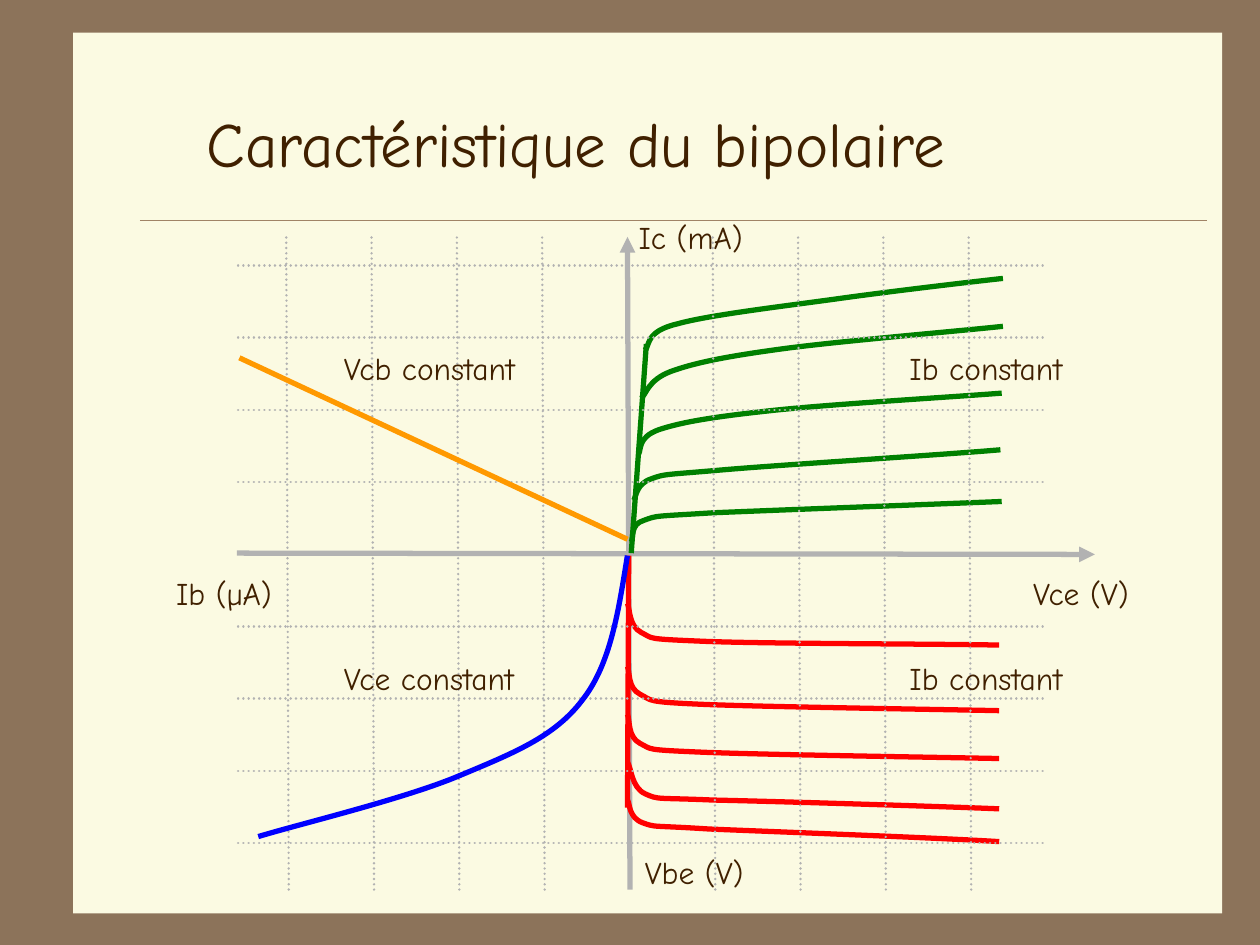
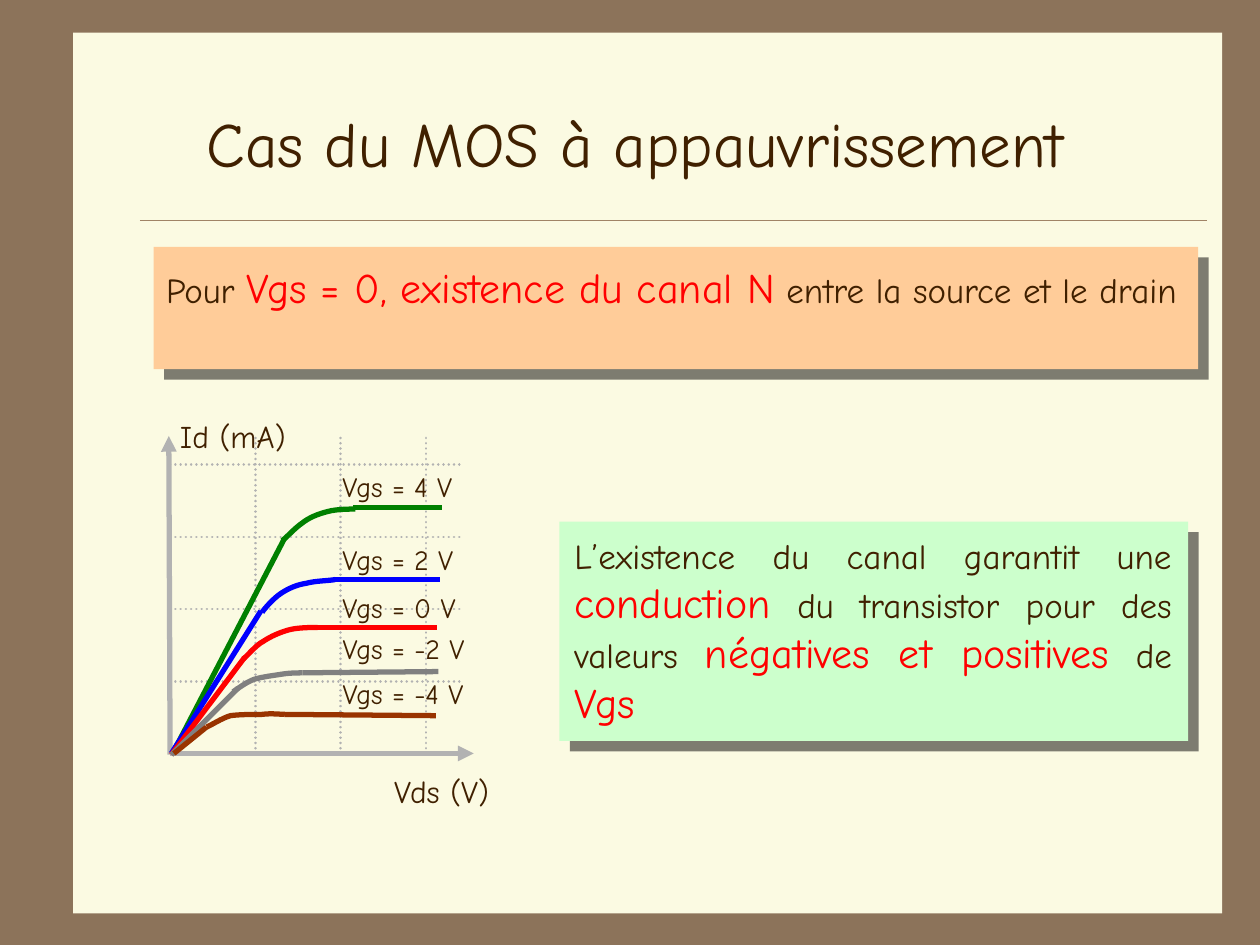
import pptx
import pptx.util
from pptx.dml.color import RGBColor
from pptx.enum.dml import MSO_LINE
from pptx.enum.shapes import MSO_CONNECTOR, MSO_SHAPE
from pptx.enum.text import MSO_AUTO_SIZE, PP_ALIGN
from pptx.oxml import parse_xml
from pptx.oxml.ns import nsdecls, qn

# Shared style
FONT = "Comic Neue"
FRAME = RGBColor(0x8C, 0x73, 0x5A)
PAPER = RGBColor(0xFB, 0xFA, 0xE2)
RULE = RGBColor(0xA0, 0x83, 0x66)
INK = RGBColor(0x40, 0x20, 0x00)
AXIS = RGBColor(0xB2, 0xB2, 0xB2)
GREEN = RGBColor(0x00, 0x80, 0x00)
RED = RGBColor(0xFF, 0x00, 0x00)
BLUE = RGBColor(0x00, 0x00, 0xFF)
ORANGE = RGBColor(0xFF, 0x99, 0x00)
GREY = RGBColor(0x80, 0x80, 0x80)
BROWN = RGBColor(0x99, 0x33, 0x00)
PEACH = RGBColor(0xFF, 0xCC, 0x99)
MINT = RGBColor(0xCC, 0xFF, 0xCC)

# Grid pitch of both graphs, in inches
COL, ROW = 0.677, 0.573

# Slide 1: label, left, top, width
BIPOLAR_TITLE = ("Caractéristique du bipolaire", 6.68)
BIPOLAR_LABELS = [
    ("Vce (V)", 8.1, 4.51, 1.05),
    ("Ic (mA)", 4.97, 1.68, 1.15),
    ("Vbe (V)", 5.02, 6.72, 1.07),
    ("Ib (µA)", 1.3, 4.51, 1.06),
    ("Ib constant", 7.12, 2.72, 1.57),
    ("Ib constant", 7.12, 5.18, 1.57),
    ("Vcb constant", 2.63, 2.72, 1.72),
    ("Vce constant", 2.63, 5.18, 1.71),
]
# Bézier curves: a start point, then three points per segment
COLLECTOR_CURVES = [
    [(5.12, 2.78), (5.16, 2.74), (5.12, 2.63), (5.38, 2.57), (5.63, 2.5),
     (6.23, 2.43), (6.66, 2.37), (7.09, 2.31), (7.69, 2.24), (7.96, 2.21)],
    [(5.01, 4.3), (5.03, 4.27), (5, 4.16), (5.11, 4.13), (5.22, 4.09),
     (5.18, 4.1), (5.66, 4.07), (6.13, 4.05), (7.47, 4), (7.95, 3.98)],
    [(5.09, 3.16), (5.13, 3.13), (5.14, 3.02), (5.32, 2.95), (5.51, 2.88),
     (5.76, 2.83), (6.2, 2.77), (6.64, 2.71), (7.59, 2.63), (7.96, 2.59)],
    [(5.07, 3.6), (5.09, 3.57), (5.06, 3.47), (5.23, 3.41), (5.41, 3.35),
     (5.65, 3.31), (6.11, 3.26), (6.56, 3.21), (7.57, 3.15), (7.95, 3.12)],
    [(5.03, 3.97), (5.05, 3.94), (5.05, 3.84), (5.17, 3.8), (5.28, 3.76),
     (5.27, 3.77), (5.73, 3.73), (6.19, 3.69), (7.48, 3.61), (7.94, 3.57)],
]
BASE_CURVES = [
    [(4.98, 4.79), (5, 4.83), (4.99, 4.97), (5.09, 5.02), (5.19, 5.07),
     (5.11, 5.07), (5.58, 5.09), (6.05, 5.11), (7.44, 5.11), (7.93, 5.12)],
    [(4.98, 6.35), (5, 6.38), (4.99, 6.49), (5.1, 6.53), (5.21, 6.57),
     (5.16, 6.55), (5.63, 6.58), (6.1, 6.6), (7.45, 6.65), (7.93, 6.68)],
    [(4.98, 5.67), (5, 5.71), (4.98, 5.85), (5.08, 5.9), (5.18, 5.95),
     (5.11, 5.95), (5.58, 5.97), (6.06, 5.99), (7.44, 6.01), (7.93, 6.02)],
    [(4.98, 5.29), (5, 5.33), (4.98, 5.46), (5.08, 5.51), (5.18, 5.56),
     (5.11, 5.57), (5.58, 5.59), (6.06, 5.61), (7.44, 5.63), (7.93, 5.64)],
    [(4.98, 6.05), (5.01, 6.09), (5.01, 6.25), (5.12, 6.3), (5.23, 6.35),
     (5.2, 6.33), (5.66, 6.35), (6.13, 6.36), (7.46, 6.4), (7.93, 6.42)],
]
INPUT_CURVE = [
    (4.98, 4.41), (4.91, 4.84), (4.85, 5.27), (4.62, 5.56), (4.4, 5.85),
    (4.07, 5.98), (3.64, 6.16), (3.21, 6.34), (2.38, 6.54), (2.05, 6.64)]

# Slide 2
MOS_TITLE = ("Cas du MOS à appauvrissement", 7.45)
MOS_LABELS = [("Vds (V)", 3.03, 6.08, 1.06), ("Id (mA)", 1.33, 3.26, 1.15)]
# Panel fill, panel box, text box, runs (True = emphasised)
MOS_PANELS = [
    (PEACH, (1.22, 1.96, 8.29, 0.97), (1.22, 2.03, 8.22, 0.83),
     [("Pour ", False), ("Vgs = 0, existence du canal N", True),
      (" entre la source et le drain", False)]),
    (MINT, (4.44, 4.14, 4.99, 1.74), (4.46, 4.19, 4.94, 1.63),
     [("L’existence du canal garantit une ", False), ("conduction", True),
      (" du transistor pour des valeurs ", False),
      ("négatives et positives", True), (" de ", False), ("Vgs", True)]),
]
# Label, label top and width, colour, rising line, Bézier knee, plateau line
MOS_CURVES = [
    ("Vgs = 4 V", 3.68, 1.16, GREEN, [(1.37, 5.98), (2.26, 4.27)],
     [(2.24, 4.29), (2.27, 4.27), (2.34, 4.19), (2.4, 4.15), (2.45, 4.11),
      (2.52, 4.08), (2.6, 4.06), (2.67, 4.04), (2.78, 4.04), (2.82, 4.04)],
     [(2.8, 4.03), (3.51, 4.03)]),
    ("Vgs = 2 V", 4.26, 1.16, BLUE, [(1.36, 5.98), (2.07, 4.85)],
     [(2.08, 4.86), (2.1, 4.83), (2.17, 4.75), (2.23, 4.71), (2.29, 4.67),
      (2.36, 4.64), (2.43, 4.63), (2.5, 4.61), (2.61, 4.61), (2.66, 4.6)],
     [(2.64, 4.6), (3.49, 4.6)]),
    ("Vgs = 0 V", 4.64, 1.16, RED, [(1.36, 5.99), (1.94, 5.22)],
     [(1.93, 5.23), (1.96, 5.21), (2.03, 5.12), (2.09, 5.09), (2.15, 5.05),
      (2.22, 5.02), (2.29, 5), (2.36, 4.98), (2.47, 4.98), (2.52, 4.98)],
     [(2.5, 4.98), (3.47, 4.98)]),
    ("Vgs = -2 V", 4.96, 1.25, GREY, [(1.36, 5.99), (1.89, 5.46)],
     [(1.85, 5.49), (1.88, 5.47), (1.96, 5.41), (2.02, 5.39), (2.09, 5.37),
      (2.18, 5.36), (2.24, 5.35), (2.3, 5.34), (2.37, 5.34), (2.4, 5.34)],
     [(2.4, 5.34), (3.48, 5.33)]),
    ("Vgs = -4 V", 5.32, 1.25, BROWN, [(1.38, 5.98), (1.64, 5.77)],
     [(1.64, 5.77), (1.67, 5.76), (1.76, 5.7), (1.83, 5.68), (1.91, 5.67),
      (2.01, 5.67), (2.08, 5.67), (2.15, 5.66), (2.23, 5.67), (2.26, 5.67)],
     [(2.26, 5.67), (3.46, 5.68)]),
]


def inches(*values):
    return [pptx.util.Inches(v) for v in values]


# Drawing helpers
def add_line(s, start, end, color, width=3, dotted=False, arrow=False):
    line = s.shapes.add_connector(MSO_CONNECTOR.STRAIGHT, *inches(*start, *end))
    line.line.color.rgb = color
    line.line.width = pptx.util.Pt(width)
    ln = line._element.spPr.find(qn("a:ln"))
    if dotted:
        line.line.dash_style = MSO_LINE.ROUND_DOT
        ln.set("cap", "rnd")
    if arrow:
        ln.append(parse_xml(f'<a:tailEnd {nsdecls("a")} type="triangle"/>'))
    line._element.spPr.append(parse_xml(f'<a:effectLst {nsdecls("a")}/>'))


def add_curve(s, points, color):
    start, *rest = [tuple(inches(*point)) for point in points]
    builder = s.shapes.build_freeform(*start)
    builder.add_line_segments(rest, close=False)
    sp = builder.convert_to_shape()
    # Turn each three straight steps into one cubic segment
    steps = list(sp._element.iter(qn("a:lnTo")))
    for i in range(0, len(steps), 3):
        cubic = parse_xml(f'<a:cubicBezTo {nsdecls("a")}/>')
        steps[i].addprevious(cubic)
        for step in steps[i:i + 3]:
            cubic.append(step[0])
            step.getparent().remove(step)
    sp.shadow.inherit = False
    sp.fill.background()
    sp.line.color.rgb = color
    sp.line.width = pptx.util.Pt(3)


def add_rect(s, box, fill, shadow=False):
    sp = s.shapes.add_shape(MSO_SHAPE.RECTANGLE, *inches(*box))
    sp.fill.solid()
    sp.fill.fore_color.rgb = fill
    sp.line.fill.background()
    sp.shadow.inherit = False
    if shadow:
        sp._element.spPr.find(qn("a:effectLst")).append(parse_xml(
            f'<a:outerShdw {nsdecls("a")} dist="107763" dir="2700000" algn="ctr" '
            'rotWithShape="0"><a:srgbClr val="000000"><a:alpha val="50000"/>'
            '</a:srgbClr></a:outerShdw>'))


def add_text(s, box, runs, wrap=False, align=PP_ALIGN.LEFT):
    """Runs are (text, size, colour)."""
    tf = s.shapes.add_textbox(*inches(*box)).text_frame
    tf.word_wrap = wrap
    tf.auto_size = MSO_AUTO_SIZE.SHAPE_TO_FIT_TEXT
    p = tf.paragraphs[0]
    p.alignment = align
    for text, size, color in runs:
        r = p.add_run()
        r.text = text
        r.font.name = FONT
        r.font.size = pptx.util.Pt(size)
        r.font.color.rgb = color


def add_labels(s, labels):
    for text, left, top, width in labels:
        add_text(s, (left, top, width, 0.4), [(text, 18, INK)])


def add_grid(s, origin, columns, rows, x_range, y_range, tilt=0):
    for i in rows:
        y = origin[1] - i * ROW
        add_line(s, (x_range[0], y), (x_range[1], y), AXIS, 1.5, dotted=True)
    for i in columns:
        x = origin[0] + i * COL
        add_line(s, (x + tilt, y_range[1]), (x - tilt, y_range[0]), AXIS, 1.5, dotted=True)


def add_slide(prs, title, title_width):
    s = prs.slides.add_slide(prs.slide_layouts[6])
    s.background.fill.solid()
    s.background.fill.fore_color.rgb = FRAME
    add_rect(s, (0.58, 0.26, 9.12, 6.99), PAPER)
    add_line(s, (1.11, 1.75), (9.58, 1.75), RULE, 0.25)
    add_text(s, (1.54, 0.78, title_width, 0.7), [(title, 36, INK)])
    return s


def bipolar_slide(prs):
    s = add_slide(prs, *BIPOLAR_TITLE)
    add_line(s, (5, 7.06), (4.98, 1.88), AXIS, arrow=True)
    add_line(s, (1.88, 4.39), (8.69, 4.4), AXIS, arrow=True)
    add_line(s, (5.01, 4.39), (5.13, 2.73), GREEN)
    for color, curves in ((GREEN, COLLECTOR_CURVES), (RED, BASE_CURVES)):
        for points in curves:
            add_curve(s, points, color)
    add_line(s, (4.99, 4.41), (4.98, 6.41), RED)
    steps = [i for i in range(-4, 5) if i]
    add_grid(s, (4.99, 4.4), steps, steps, (1.89, 8.28), (1.88, 7.06), tilt=0.01)
    add_line(s, (4.98, 4.28), (1.9, 2.84), ORANGE)
    add_curve(s, INPUT_CURVE, BLUE)
    add_labels(s, BIPOLAR_LABELS)


def mos_slide(prs):
    s = add_slide(prs, *MOS_TITLE)
    for fill, panel, box, parts in MOS_PANELS:
        add_rect(s, panel, fill, shadow=True)
        runs = [(t, 24, RED) if strong else (t, 20, INK) for t, strong in parts]
        add_text(s, box, runs, wrap=True, align=PP_ALIGN.JUSTIFY)
    add_labels(s, MOS_LABELS)
    add_grid(s, (1.35, 5.98), range(1, 4), range(1, 5), (1.35, 3.67), (3.46, 5.98))
    add_line(s, (1.35, 5.99), (1.34, 3.46), AXIS, arrow=True)
    add_line(s, (1.35, 5.98), (3.76, 5.98), AXIS, arrow=True)
    for label, top, width, color, rise, knee, plateau in MOS_CURVES:
        add_line(s, *rise, color)
        add_curve(s, knee, color)
        add_line(s, *plateau, color)
        add_text(s, (2.62, top, width, 0.37), [(label, 16, INK)], align=PP_ALIGN.JUSTIFY)


def main():
    prs = pptx.Presentation()
    prs.slide_width, prs.slide_height = inches(10, 7.5)
    bipolar_slide(prs)
    mos_slide(prs)
    prs.save("out.pptx")


if __name__ == "__main__":
    main()
